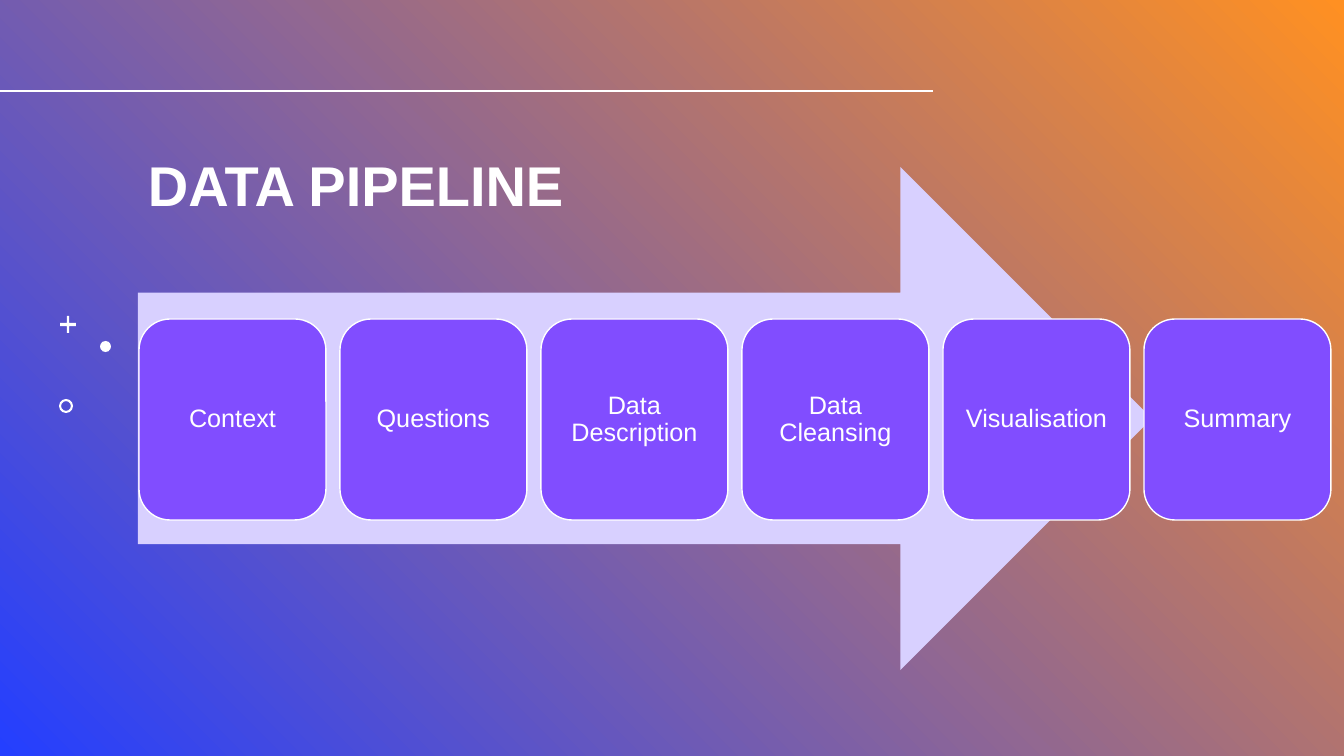
from dataclasses import dataclass
from typing import Optional

from lxml.etree import SubElement
from pptx import Presentation
from pptx.dml.color import RGBColor
from pptx.enum.shapes import MSO_CONNECTOR, MSO_SHAPE
from pptx.enum.text import MSO_ANCHOR, PP_ALIGN
from pptx.oxml.ns import qn
from pptx.shapes.autoshape import Shape
from pptx.slide import Slide
from pptx.text.text import TextFrame
from pptx.util import Emu, Pt


@dataclass(frozen=True)
class Theme:
    font: str = "Arial"
    blue: str = "243FFF"
    orange: str = "FF9022"
    white: str = "FFFFFF"
    lavender: str = "D8D0FF"
    violet: str = "814DFF"
    title_size: int = 40
    step_size: int = 18
    rule_width: float = 1.5
    card_line_width: float = 1


@dataclass(frozen=True)
class Box:
    left: int
    top: int
    width: int
    height: int


@dataclass(frozen=True)
class Figure:
    preset: MSO_SHAPE
    box: Box
    fill: str
    line: Optional[str] = None
    adjustment: Optional[float] = None


THEME = Theme()
EMU_PER_PX = 914400 / 100.8
SLIDE_WIDTH, SLIDE_HEIGHT = 1344, 756
RULE_TOP, RULE_RIGHT = 91, 933
TITLE_BOX = Box(138, 111, 1067, 113)
FIRST_CARD = Box(139, 319, 187, 201)
CARD_PITCH = 201
STEPS = ("Context", "Questions", "Data Description", "Data Cleansing",
         "Visualisation", "Summary")
MARKERS = (
    Figure(MSO_SHAPE.CROSS, Box(60, 316, 16, 17), THEME.white, adjustment=0.43),
    Figure(MSO_SHAPE.OVAL, Box(100, 341, 11, 11), THEME.white),
    Figure(MSO_SHAPE.DONUT, Box(59, 399, 14, 14), THEME.white, adjustment=0.15),
)
ARROW = Figure(MSO_SHAPE.RIGHT_ARROW, Box(138, 167, 1014, 503), THEME.lavender)


def px(length: int) -> Emu:
    return Emu(round(length * EMU_PER_PX))


def place(box: Box) -> tuple[Emu, Emu, Emu, Emu]:
    return px(box.left), px(box.top), px(box.width), px(box.height)


def color(value: str) -> RGBColor:
    return RGBColor.from_string(value)


def write_text(frame: TextFrame, text: str, *, size: int, anchor: MSO_ANCHOR,
               align: PP_ALIGN, inset_x: int, inset_y: int,
               bold: bool = False) -> None:
    frame.word_wrap = True
    frame.vertical_anchor = anchor
    frame.margin_left = frame.margin_right = px(inset_x)
    frame.margin_top = frame.margin_bottom = px(inset_y)
    paragraph = frame.paragraphs[0]
    paragraph.alignment = align
    paragraph.line_spacing = 0.9
    run = paragraph.add_run()
    run.text = text
    run.font.name = THEME.font
    run.font.size = Pt(size)
    run.font.bold = bold
    run.font.color.rgb = color(THEME.white)


def draw_background(slide: Slide) -> None:
    fill = slide.background.fill
    fill.gradient()
    fill.gradient_angle = 45
    for stop, value in zip(fill.gradient_stops, (THEME.blue, THEME.orange)):
        stop.color.rgb = color(value)


def draw_rule(slide: Slide) -> None:
    rule = slide.shapes.add_connector(
        MSO_CONNECTOR.STRAIGHT, px(RULE_RIGHT), px(RULE_TOP), px(0), px(RULE_TOP))
    rule.line.color.rgb = color(THEME.white)
    rule.line.width = Pt(THEME.rule_width)
    SubElement(rule._element.spPr, qn("a:effectLst"))


def draw_figure(slide: Slide, figure: Figure) -> Shape:
    shape = slide.shapes.add_shape(figure.preset, *place(figure.box))
    shape.shadow.inherit = False
    shape.fill.solid()
    shape.fill.fore_color.rgb = color(figure.fill)
    if figure.line is None:
        shape.line.fill.background()
    else:
        shape.line.color.rgb = color(figure.line)
        shape.line.width = Pt(THEME.card_line_width)
    if figure.adjustment is not None:
        shape.adjustments[0] = figure.adjustment
    return shape


def draw_title(slide: Slide) -> None:
    title = slide.shapes.add_textbox(*place(TITLE_BOX))
    write_text(title.text_frame, "DATA PIPELINE", size=THEME.title_size, bold=True,
               anchor=MSO_ANCHOR.BOTTOM, align=PP_ALIGN.LEFT, inset_x=10, inset_y=5)


def draw_step(slide: Slide, index: int, label: str) -> None:
    box = Box(FIRST_CARD.left + index * CARD_PITCH, FIRST_CARD.top,
              FIRST_CARD.width, FIRST_CARD.height)
    card = draw_figure(slide, Figure(MSO_SHAPE.ROUNDED_RECTANGLE, box,
                                     THEME.violet, THEME.white))
    write_text(card.text_frame, label, size=THEME.step_size,
               anchor=MSO_ANCHOR.MIDDLE, align=PP_ALIGN.CENTER, inset_x=7, inset_y=7)


def main() -> None:
    presentation = Presentation()
    presentation.slide_width = px(SLIDE_WIDTH)
    presentation.slide_height = px(SLIDE_HEIGHT)
    slide = presentation.slides.add_slide(presentation.slide_layouts[6])
    draw_background(slide)
    draw_rule(slide)
    for marker in MARKERS:
        draw_figure(slide, marker)
    draw_title(slide)
    draw_figure(slide, ARROW)
    for index, label in enumerate(STEPS):
        draw_step(slide, index, label)
    presentation.save("out.pptx")


if __name__ == "__main__":
    main()
